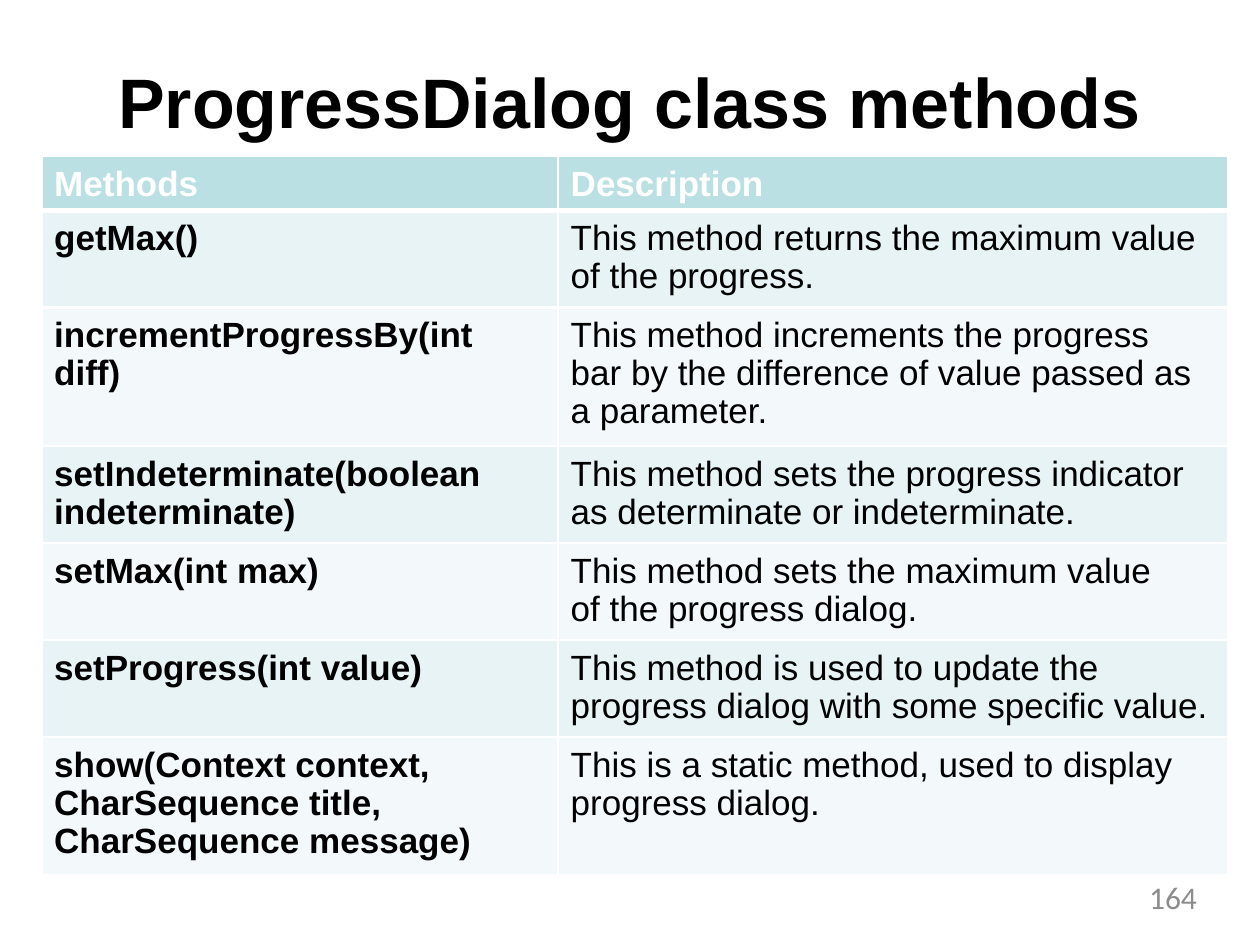
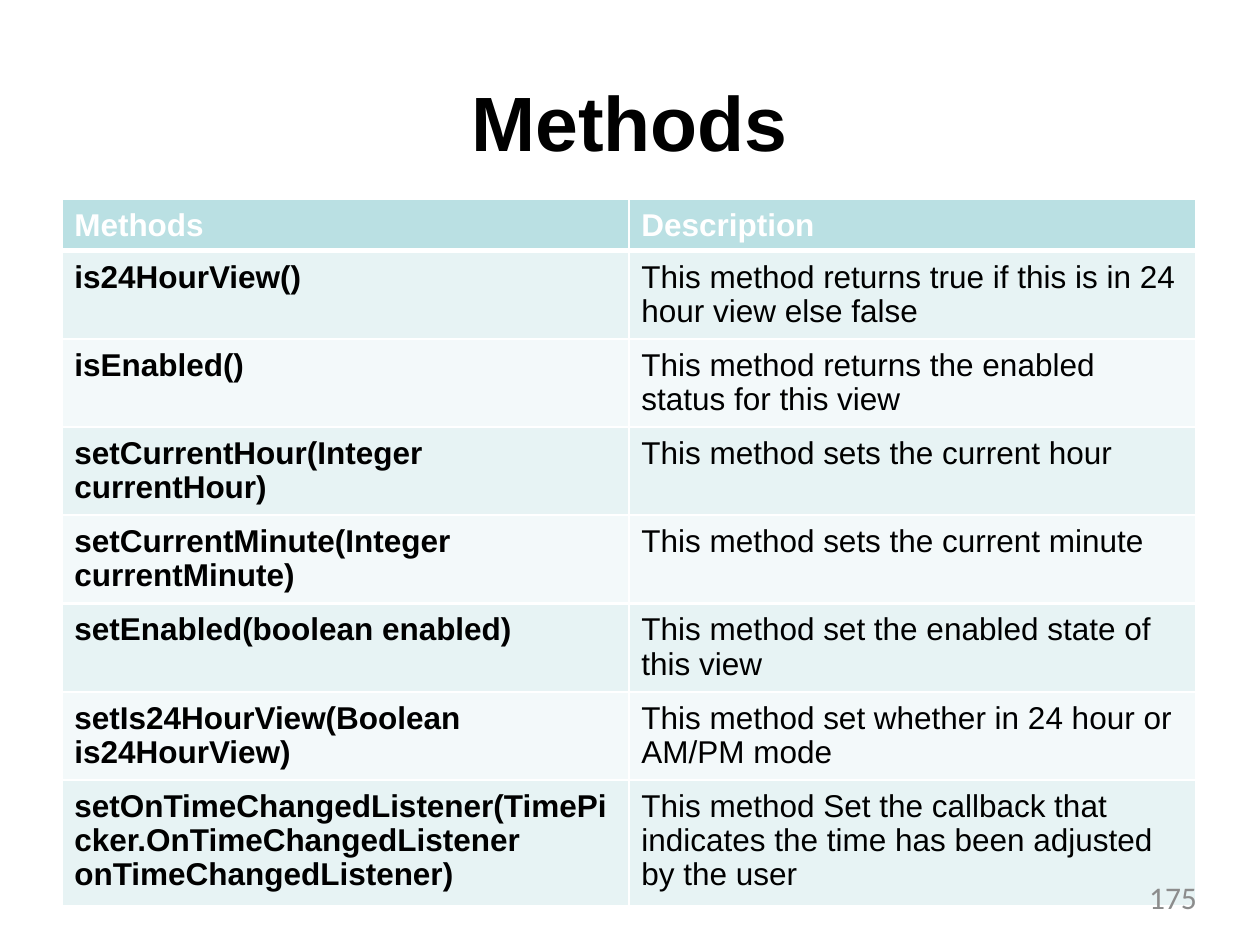
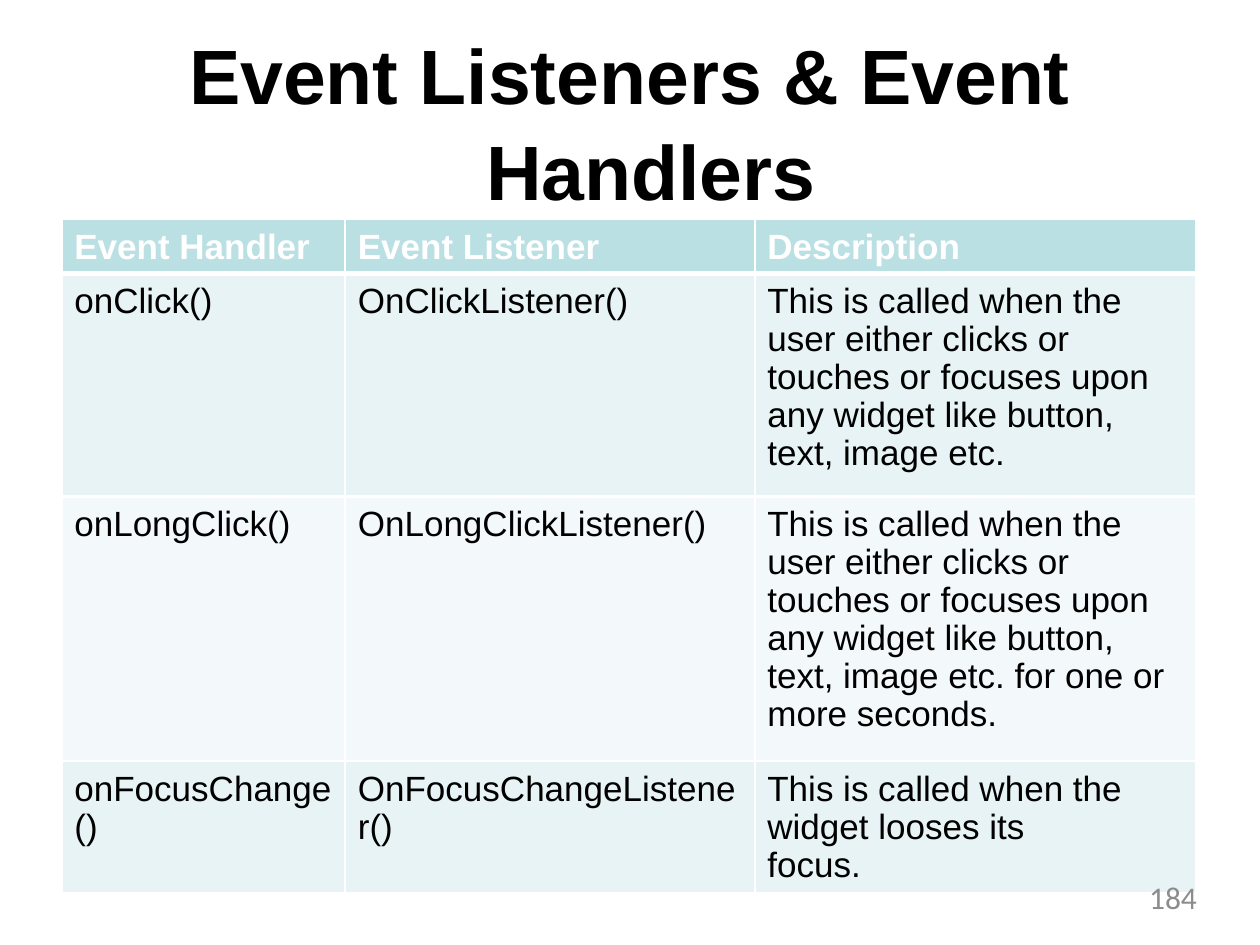
import pptx
import pptx.dml.color
import pptx.enum.text
import pptx.oxml
import pptx.util
from dataclasses import dataclass
from pptx.util import Inches


@dataclass(frozen=True)
class Theme:
    heading_font: str = "Arial"
    number_font: str = "Calibri"
    ink: str = "000000"
    white: str = "FFFFFF"
    header: str = "BAE0E3"
    bands: tuple = ("E7F3F4", "F3F9FA")
    number_ink: str = "8C8C8C"
    number_size: int = 18
    grid: float = 1.5
    header_rule: float = 3
    title_spacing: float = 1.04
    cell_spacing: float = 0.97


THEME = Theme()

PAGES = [
    dict(
        title="ProgressDialog class methods", title_size=40,
        title_box=(0.93, 0.43, 8.2, 0.69), hanging=0,
        number="164", table_at=(0.33, 1.24), text_size=20, bold_columns=1,
        columns=(4.1, 5.32),
        heights=(0.43, 0.77, 1.1, 0.77, 0.77, 0.77, 1.1),
        rows=[
            ("Methods", "Description"),
            ("getMax()",
             "This method returns the maximum value\nof the progress."),
            ("incrementProgressBy(int\vdiff)",
             "This method increments the progress\vbar by the difference of value passed as\va parameter."),
            ("setIndeterminate(boolean\nindeterminate)",
             "This method sets the progress indicator\nas determinate or indeterminate."),
            ("setMax(int max)",
             "This method sets the maximum value\vof the progress dialog."),
            ("setProgress(int value)",
             "This method is used to update the\nprogress dialog with some specific value."),
            ("show(Context context,\vCharSequence title,\vCharSequence message)",
             "This is a static method, used to display\vprogress dialog."),
        ],
    ),
    dict(
        title="Methods", title_size=44,
        title_box=(3.73, 0.55, 2.6, 0.76), hanging=0,
        number="175", table_at=(0.49, 1.58), text_size=18, bold_columns=1,
        columns=(4.5, 4.5),
        heights=(0.41, 0.7, 0.7, 0.7, 0.7, 0.7, 0.7, 1),
        rows=[
            ("Methods", "Description"),
            ("is24HourView()",
             "This method returns true if this is in 24\vhour view else false"),
            ("isEnabled()",
             "This method returns the enabled\vstatus for this view"),
            ("setCurrentHour(Integer\ncurrentHour)",
             "This method sets the current hour"),
            ("setCurrentMinute(Integer\vcurrentMinute)",
             "This method sets the current minute"),
            ("setEnabled(boolean enabled)",
             "This method set the enabled state of\vthis view"),
            ("setIs24HourView(Boolean\nis24HourView)",
             "This method set whether in 24 hour or\nAM/PM mode"),
            ("setOnTimeChangedListener(TimePi\vcker.OnTimeChangedListener\vonTimeChangedListener)",
             "This method Set the callback that\vindicates the time has been adjusted\vby the user"),
        ],
    ),
    dict(
        title="Event Listeners & Event\vHandlers", title_size=44,
        title_box=(1.49, 0.18, 7.1, 1.5), hanging=2.36,
        number="184", table_at=(0.49, 1.74), text_size=20, bold_columns=0,
        columns=(2.25, 3.25, 3.5),
        heights=(0.43, 1.77, 2.1, 1.04),
        rows=[
            ("Event Handler", "Event Listener", "Description"),
            ("onClick()", "OnClickListener()",
             "This is called when the\vuser either clicks or\vtouches or focuses upon\vany widget like button,\vtext, image etc."),
            ("onLongClick()", "OnLongClickListener()",
             "This is called when the\vuser either clicks or\vtouches or focuses upon\vany widget like button,\vtext, image etc. for one or\vmore seconds."),
            ("onFocusChange\v()", "OnFocusChangeListene\vr()",
             "This is called when the\vwidget looses its\vfocus."),
        ],
    ),
]


def color(value):
    return pptx.dml.color.RGBColor.from_string(value)


def write(frame, text, font, size, ink, bold=False, spacing=1.0):
    for index, block in enumerate(text.split("\n")):
        paragraph = frame.add_paragraph() if index else frame.paragraphs[0]
        paragraph.line_spacing = spacing
        for position, line in enumerate(block.split("\v")):
            if position:
                paragraph.add_line_break()
            run = paragraph.add_run()
            run.text = line
            run.font.name = font
            run.font.size = pptx.util.Pt(size)
            run.font.bold = bold
            run.font.color.rgb = color(ink)


def add_text(slide, box, text, **style):
    frame = slide.shapes.add_textbox(*map(Inches, box)).text_frame
    frame.word_wrap = True
    frame.margin_left = frame.margin_right = frame.margin_bottom = 0
    frame.margin_top = Inches(0.01)
    write(frame, text, **style)
    return frame.paragraphs[0]


def set_borders(cell, widths):
    properties = cell._tc.get_or_add_tcPr()
    for index, (side, width) in enumerate(widths.items()):
        line = pptx.oxml.parse_xml(
            f'<a:{side} xmlns:a="http://schemas.openxmlformats.org/drawingml/2006/main" '
            f'w="{pptx.util.Pt(width)}"><a:solidFill><a:srgbClr val="{THEME.white}"/>'
            f'</a:solidFill></a:{side}>')
        properties.insert(index, line)


def add_methods_table(slide, page):
    columns, heights = page["columns"], page["heights"]
    box = (*page["table_at"], sum(columns), sum(heights))
    table = slide.shapes.add_table(
        len(heights), len(columns), *map(Inches, box)).table
    for column, width in zip(table.columns, columns):
        column.width = Inches(width)
    for row, height in zip(table.rows, heights):
        row.height = Inches(height)
    for r, entries in enumerate(page["rows"]):
        for c, entry in enumerate(entries):
            cell = table.cell(r, c)
            cell.margin_left = Inches(0.1)
            cell.margin_top = Inches(0.08)
            cell.margin_right = cell.margin_bottom = 0
            cell.fill.solid()
            cell.fill.fore_color.rgb = color(
                THEME.bands[(r - 1) % 2] if r else THEME.header)
            set_borders(cell, {
                "lnL": THEME.grid,
                "lnR": THEME.grid,
                "lnT": THEME.header_rule if r == 1 else THEME.grid,
                "lnB": THEME.header_rule if r == 0 else THEME.grid,
            })
            write(cell.text_frame, entry, THEME.heading_font, page["text_size"],
                  THEME.ink if r else THEME.white,
                  bold=r == 0 or c < page["bold_columns"],
                  spacing=THEME.cell_spacing)


def add_page(deck, page):
    slide = deck.slides.add_slide(deck.slide_layouts[6])
    title = add_text(slide, page["title_box"], page["title"],
                     font=THEME.heading_font, size=page["title_size"],
                     ink=THEME.ink, bold=True, spacing=THEME.title_spacing)
    indent = title._p.get_or_add_pPr()
    indent.set("marL", str(Inches(page["hanging"] + 0.01)))
    indent.set("indent", str(-Inches(page["hanging"])))
    add_methods_table(slide, page)
    number = add_text(slide, (7.2, 6.96, 2.3, 0.38), page["number"],
                      font=THEME.number_font, size=THEME.number_size,
                      ink=THEME.number_ink)
    number.alignment = pptx.enum.text.PP_ALIGN.RIGHT


def main():
    deck = pptx.Presentation()
    deck.slide_width, deck.slide_height = Inches(10), Inches(7.5)
    for page in PAGES:
        add_page(deck, page)
    deck.save("out.pptx")


if __name__ == "__main__":
    main()
